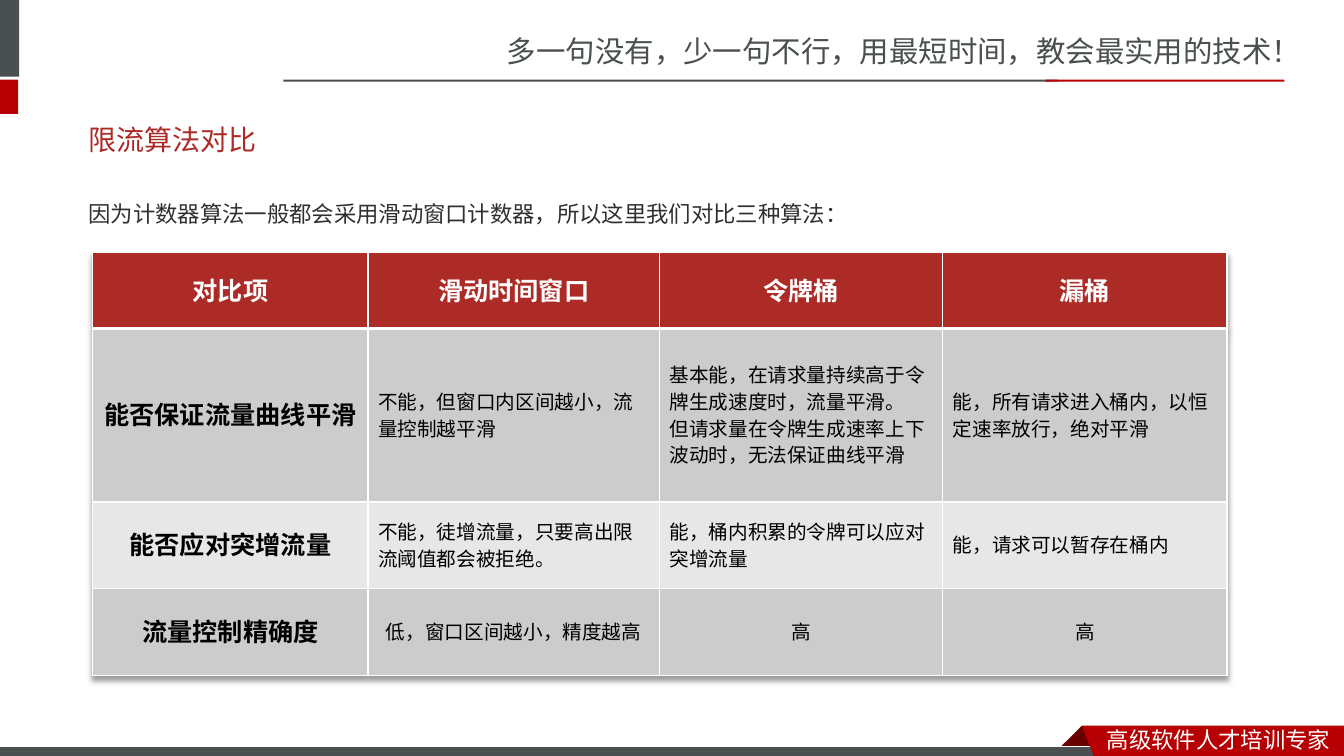
from copy import deepcopy
from dataclasses import dataclass

from lxml import etree
from pptx import Presentation
from pptx import util as u
from pptx.dml.color import RGBColor
from pptx.enum import lang, shapes, text
from pptx.oxml import parse_xml
from pptx.oxml.ns import nsdecls, qn

PX = 9144
CJK, LATIN, MONO = "Noto Sans CJK SC", "Arial", "Noto Sans Mono"
GREY, RED, DARK_RED, WHITE, BLACK = "49504F", "B60004", "680000", "FFFFFF", "000000"
TABLE_RED, BAND_DARK, BAND_LIGHT = "AD2B26", "CCCCCC", "E7E7E7"
LEFT, CENTER = text.PP_ALIGN.LEFT, text.PP_ALIGN.CENTER
TOP, MIDDLE = text.MSO_ANCHOR.TOP, text.MSO_ANCHOR.MIDDLE


@dataclass
class Style:
    size: int
    font: str
    color: str
    bold: bool = False
    align: text.PP_ALIGN = LEFT


@dataclass
class Bar:
    box: tuple[int, int, int, int]
    fill: str
    line: str | None = None


@dataclass
class Ribbon:
    points: list[tuple[int, int]]
    fill: str


@dataclass
class Label:
    words: str
    box: tuple[int, int, int, int]
    style: Style
    anchor: text.MSO_ANCHOR = TOP
    spacing: float = 1.0
    before: int = 0


HEADER_BARS = [
    Bar((-6, 0, 25, 76), GREY),
    Bar((-6, 79, 24, 34), RED),
    Bar((281, 79, 768, 2), GREY),
    Bar((1037, 79, 237, 2), RED),
]
FOLD = Ribbon([(1073, 720), (1095, 742), (1094, 743), (1052, 743), (1051, 742)], DARK_RED)
FOOTER_BAR = Bar((-1, 741, 1100, 12), GREY, WHITE)
BANNER = Ribbon([(1073, 720), (1333, 720), (1333, 754), (1086, 753)], RED)
LABELS = [
    Label("多一句没有，少一句不行，用最短时间，教会最实用的技术！", (493, 28, 841, 47), Style(21, CJK, GREY)),
    Label("高级软件人才培训专家", (1088, 715, 245, 37), Style(16, CJK, WHITE)),
    Label("因为计数器算法一般都会采用滑动窗口计数器，所以这里我们对比三种算法：", (78, 180, 1176, 57),
          Style(16, LATIN, "303030"), spacing=1.5, before=3),
    Label("限流算法对比", (78, 110, 1170, 57), Style(20, LATIN, "AD2A26"), MIDDLE),
]

TABLE_LEFT, TABLE_TOP = 92, 250
COLUMNS = [273, 289, 281, 282]
ROWS = [76, 172, 86, 86]
ROW_FILLS = [TABLE_RED, BAND_DARK, BAND_LIGHT, BAND_DARK]
CELLS = [
    ["对比项", "滑动时间窗口", "令牌桶", "漏桶"],
    ["能否保证流量曲线平滑", "不能，但窗口内区间越小，流量控制越平滑",
     "基本能，在请求量持续高于令牌生成速度时，流量平滑。\n但请求量在令牌生成速率上下波动时，无法保证曲线平滑",
     "能，所有请求进入桶内，以恒定速率放行，绝对平滑"],
    ["能否应对突增流量", "不能，徒增流量，只要高出限流阈值都会被拒绝。",
     "能，桶内积累的令牌可以应对突增流量", "能，请求可以暂存在桶内"],
    ["流量控制精确度", "低，窗口区间越小，精度越高", "高", "高"],
]


def rgb(value: str) -> RGBColor:
    return RGBColor.from_string(value)


def write(p, words: str, style: Style) -> None:
    p.text = words
    p.alignment = style.align
    for r in p.runs:
        r.font.size, r.font.bold = u.Pt(style.size), style.bold
        r.font.name = style.font
        r.font.color.rgb = rgb(style.color)
        r.font.language_id = lang.MSO_LANGUAGE_ID.SIMPLIFIED_CHINESE
        etree.SubElement(r.font._element, qn("a:ea"), typeface=style.font)
    for br in p._p.findall(qn("a:br")):
        br.append(deepcopy(p.runs[0].font._element))


def paint(sp, fill: str, line: str | None = None) -> None:
    sp.shadow.inherit = False
    sp.fill.solid()
    sp.fill.fore_color.rgb = rgb(fill)
    if line:
        sp.line.color.rgb = rgb(line)
        sp.line.width = u.Pt(0.75)
    else:
        sp.line.fill.background()


def draw_bar(s, bar: Bar) -> None:
    sp = s.shapes.add_shape(shapes.MSO_SHAPE.RECTANGLE, *(v * PX for v in bar.box))
    paint(sp, bar.fill, bar.line)


def draw_ribbon(s, ribbon: Ribbon) -> None:
    start, *rest = ribbon.points
    builder = s.shapes.build_freeform(*start, scale=PX)
    builder.add_line_segments(rest, close=True)
    paint(builder.convert_to_shape(), ribbon.fill)


def draw_label(s, label: Label) -> None:
    tf = s.shapes.add_textbox(*(v * PX for v in label.box)).text_frame
    tf.word_wrap = True
    tf.vertical_anchor = label.anchor
    p = tf.paragraphs[0]
    write(p, label.words, label.style)
    p.line_spacing = label.spacing
    p.space_before = u.Pt(label.before)


def add_borders(cell, bottom: int) -> None:
    tc_pr = cell._tc.get_or_add_tcPr()
    for side, width in zip("LRTB", (1, 1, 1, bottom)):
        tc_pr.append(parse_xml(
            f'<a:ln{side} {nsdecls("a")} w="{u.Pt(width)}"><a:solidFill>'
            f'<a:srgbClr val="{WHITE}"/></a:solidFill></a:ln{side}>'))


def cell_style(row: int, column: int) -> Style:
    if row == 0 or column == 0:
        return Style(18, MONO, BLACK if row else WHITE, True, CENTER)
    return Style(14, MONO, BLACK, align=CENTER if row == len(ROWS) - 1 else LEFT)


def draw_table(s) -> None:
    frame = s.shapes.add_table(len(ROWS), len(COLUMNS), TABLE_LEFT * PX, TABLE_TOP * PX,
                               sum(COLUMNS) * PX, sum(ROWS) * PX)
    table = frame.table
    table.first_row = table.horz_banding = False
    table._tbl.tblPr.insert(0, parse_xml(
        f'<a:effectLst {nsdecls("a")}><a:outerShdw blurRad="50800" dist="38100" dir="5400000" '
        f'algn="t" rotWithShape="0"><a:srgbClr val="{BLACK}"><a:alpha val="40000"/>'
        '</a:srgbClr></a:outerShdw></a:effectLst>'))
    for column, width in zip(table.columns, COLUMNS):
        column.width = width * PX
    for i, height in enumerate(ROWS):
        table.rows[i].height = height * PX
        for j, words in enumerate(CELLS[i]):
            cell = table.cell(i, j)
            cell.vertical_anchor = MIDDLE
            add_borders(cell, 1 if i else 3)
            cell.fill.solid()
            cell.fill.fore_color.rgb = rgb(ROW_FILLS[i])
            write(cell.text_frame.paragraphs[0], words, cell_style(i, j))


def main() -> None:
    """Build the rate-limiting comparison slide."""
    prs = Presentation()
    prs.slide_width, prs.slide_height = 1333 * PX, 750 * PX
    s = prs.slides.add_slide(prs.slide_layouts[6])
    for bar in HEADER_BARS:
        draw_bar(s, bar)
    draw_ribbon(s, FOLD)
    draw_bar(s, FOOTER_BAR)
    draw_ribbon(s, BANNER)
    for label in LABELS:
        draw_label(s, label)
    draw_table(s)
    prs.save("out.pptx")


if __name__ == "__main__":
    main()
